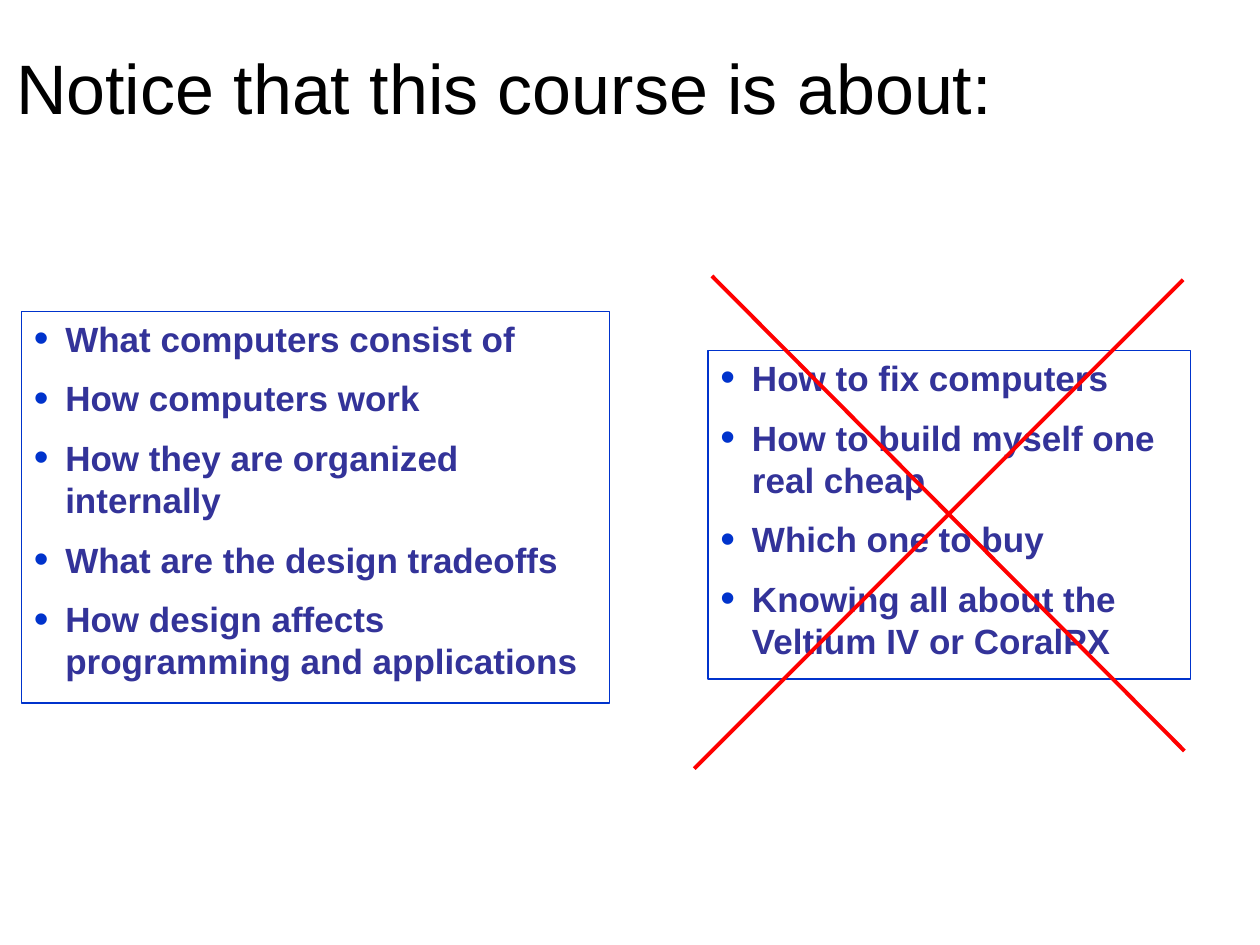
from dataclasses import dataclass

import pptx
import pptx.dml.color
import pptx.enum.shapes
import pptx.enum.text
import pptx.oxml.ns
import pptx.util
from lxml import etree
from pptx.util import Inches

COLORS = {"title": "000000", "text": "333399", "frame": "0033CC", "cross": "FF0000"}
FONT = "Arial"
BULLET_INDENT = Inches(0.25)


@dataclass
class TopicBox:
    left: float
    top: float
    width: float
    height: float
    topics: list[str]


@dataclass
class Stroke:
    start: tuple[float, float]
    end: tuple[float, float]


TOPIC_BOXES = [
    TopicBox(0.17, 2.47, 4.67, 3.11, [
        "What computers consist of",
        "How computers work",
        "How they are organized internally",
        "What are the design tradeoffs",
        "How design affects programming and applications",
    ]),
    TopicBox(5.62, 2.78, 3.83, 2.61, [
        "How to fix computers",
        "How to build myself one real cheap",
        "Which one to buy",
        "Knowing all about the Veltium IV or CoralPX",
    ]),
]
CROSS = [Stroke((9.39, 2.22), (5.51, 6.1)), Stroke((5.65, 2.19), (9.4, 5.96))]


def rgb(name: str) -> pptx.dml.color.RGBColor:
    return pptx.dml.color.RGBColor.from_string(COLORS[name])


def add_bullet(para) -> None:
    """Give the paragraph a hanging, enlarged round bullet."""
    properties = para._p.get_or_add_pPr()
    properties.set("marL", str(BULLET_INDENT))
    properties.set("indent", str(-BULLET_INDENT))
    qn = pptx.oxml.ns.qn
    color = etree.SubElement(properties, qn("a:buClr"))
    etree.SubElement(color, qn("a:srgbClr"), val=COLORS["frame"])
    etree.SubElement(properties, qn("a:buSzPct"), val="120000")
    etree.SubElement(properties, qn("a:buFont"), typeface=FONT)
    etree.SubElement(properties, qn("a:buChar"), char="•")


def write_text(shape, lines: list[str], *, size: float, color: str, bold: bool = False,
               bullets: bool = False, line_height: float | None = None, gap: float = 0,
               anchor=pptx.enum.text.MSO_ANCHOR.TOP) -> None:
    """Fill the shape with one paragraph per line; gap separates paragraphs, in points."""
    frame = shape.text_frame
    frame.word_wrap = True
    frame.vertical_anchor = anchor
    for index, line in enumerate(lines):
        para = frame.add_paragraph() if index else frame.paragraphs[0]
        if bullets:
            add_bullet(para)
        para.alignment = pptx.enum.text.PP_ALIGN.LEFT
        if line_height:
            para.line_spacing = pptx.util.Pt(line_height)
        if index and gap:
            para.space_before = pptx.util.Pt(gap)
        span = para.add_run()
        span.text = line
        span.font.name = FONT
        span.font.size = pptx.util.Pt(size)
        span.font.bold = bold
        span.font.color.rgb = rgb(color)


def draw_topic_box(page, topic_box: TopicBox) -> None:
    box = page.shapes.add_shape(
        pptx.enum.shapes.MSO_SHAPE.RECTANGLE,
        Inches(topic_box.left), Inches(topic_box.top),
        Inches(topic_box.width), Inches(topic_box.height))
    box.shadow.inherit = False
    box.fill.background()
    box.line.color.rgb = rgb("frame")
    box.line.width = pptx.util.Pt(0.75)
    write_text(box, topic_box.topics, size=20, color="text", bold=True,
               bullets=True, line_height=24, gap=10)


def draw_stroke(page, stroke: Stroke) -> None:
    line = page.shapes.add_connector(
        pptx.enum.shapes.MSO_CONNECTOR.STRAIGHT,
        *(Inches(value) for value in stroke.start + stroke.end))
    line.line.color.rgb = rgb("cross")
    line.line.width = pptx.util.Pt(2.25)
    etree.SubElement(line._element.spPr, pptx.oxml.ns.qn("a:effectLst"))


def main() -> None:
    deck = pptx.Presentation()
    deck.slide_width, deck.slide_height = Inches(10), Inches(7.5)
    page = deck.slides.add_slide(deck.slide_layouts[6])
    for topic_box in TOPIC_BOXES:
        draw_topic_box(page, topic_box)
    for stroke in CROSS:
        draw_stroke(page, stroke)
    title = page.shapes.add_textbox(Inches(0.03), Inches(0.3), Inches(9), Inches(0.77))
    write_text(title, ["Notice that this course is about:"], size=40, color="title",
               anchor=pptx.enum.text.MSO_ANCHOR.MIDDLE)
    deck.save("out.pptx")


if __name__ == "__main__":
    main()
